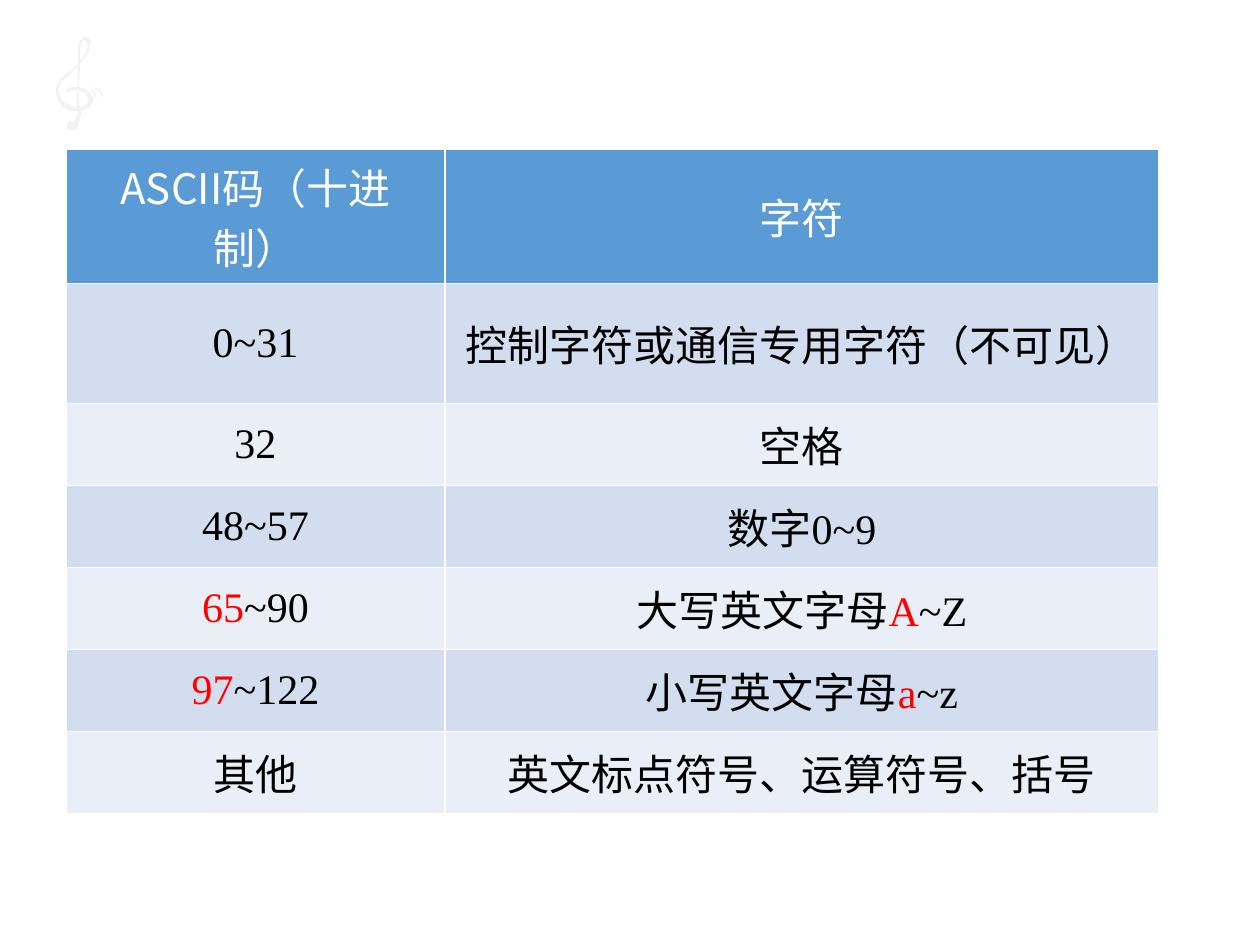
from lxml import etree
from pptx import Presentation
from pptx.dml.color import RGBColor
from pptx.enum.text import MSO_ANCHOR, PP_ALIGN
from pptx.oxml.ns import qn
from pptx.util import Emu, Pt

PX = 914400 // 126
CENTER = PP_ALIGN.CENTER
MIDDLE = MSO_ANCHOR.MIDDLE
SANS, SERIF = "Noto Sans CJK SC", "Times New Roman"
WHITE, BLACK, RED = "FFFFFF", "000000", "FF0000"
HEADER_FILL, BAND_FILLS = "5B9BD5", ("D2DEEF", "EAEFF7")
CLEF_FILL = "F2F2F2"

COLUMN_WIDTHS = (379, 714)
ROW_HEIGHTS = (120, 120) + (82,) * 5

# Each cell is a list of runs: text, font, colour.
ROWS = [
    ([("ASCII码（十进制）", SANS, WHITE)], [("字符", SANS, WHITE)]),
    ([("0~31", SERIF, BLACK)], [("控制字符或通信专用字符（不可见）", SANS, BLACK)]),
    ([("32", SERIF, BLACK)], [("空格", SANS, BLACK)]),
    ([("48~57", SERIF, BLACK)], [("数字", SANS, BLACK), ("0~9", SERIF, BLACK)]),
    ([("65", SERIF, RED), ("~90", SERIF, BLACK)],
     [("大写英文字母", SANS, BLACK), ("A", SERIF, RED), ("~Z", SERIF, BLACK)]),
    ([("97", SERIF, RED), ("~122", SERIF, BLACK)],
     [("小写英文字母", SANS, BLACK), ("a", SERIF, RED), ("~z", SERIF, BLACK)]),
    ([("其他", SANS, BLACK)], [("英文标点符号、运算符号、括号", SANS, BLACK)]),
]

# The clef body is an outline followed by its three holes.
CLEF_BODY = [
    [(91, 40), (89, 38), (84, 37), (80, 41), (78, 48), (78, 64), (64, 76), (60, 80),
     (56, 89), (57, 97), (61, 105), (68, 110), (74, 111), (78, 111), (78, 113),
     (76, 119), (72, 123), (71, 121), (69, 121), (67, 124), (67, 127), (68, 129),
     (72, 130), (76, 129), (79, 125), (81, 113), (81, 111), (91, 106), (94, 99),
     (92, 95), (87, 90), (79, 87), (79, 81), (80, 69), (80, 64), (87, 55), (90, 49),
     (90, 46)],
    [(82, 107), (80, 107), (79, 102), (78, 90), (85, 93), (88, 98), (88, 103)],
    [(78, 80), (78, 87), (71, 87), (65, 91), (67, 92), (71, 90), (78, 90), (77, 96),
     (77, 108), (73, 107), (62, 101), (59, 95), (58, 89), (61, 82), (65, 78),
     (67, 77), (78, 66)],
    [(87, 50), (86, 52), (82, 59), (80, 61), (80, 49), (82, 41), (85, 40), (88, 44)],
]
CLEF_TICKS = [
    [(96, 98), (97, 98), (95, 93), (92, 89), (91, 90), (94, 94)],
    [(95, 87), (95, 88), (99, 91), (102, 96), (103, 96), (101, 90)],
]


def px(length):
    return Emu(length * PX)


def color(hex_string):
    return RGBColor.from_string(hex_string)


def add_outline(slide, contours, fill):
    """Draw closed contours as one shape; inner contours become holes."""
    first, *holes = contours
    builder = slide.shapes.build_freeform(*first[0], scale=PX)
    builder.add_line_segments(first[1:], close=True)
    for hole in holes:
        builder.move_to(*hole[0])
        builder.add_line_segments(hole[1:], close=True)
    shape = builder.convert_to_shape()
    shape.shadow.inherit = False
    shape.fill.solid()
    shape.fill.fore_color.rgb = color(fill)
    shape.line.fill.background()


def add_run(paragraph, text, font_name, font_color):
    run = paragraph.add_run()
    run.text = text
    font = run.font
    font.size = Pt(24)
    font.bold = False
    font.color.rgb = color(font_color)
    font.name = font_name
    east_asian = etree.SubElement(run._r.get_or_add_rPr(), qn("a:ea"))
    east_asian.set("typeface", font_name)


def fill_cell(cell, runs, fill):
    cell.fill.solid()
    cell.fill.fore_color.rgb = color(fill)
    cell.vertical_anchor = MIDDLE
    paragraph = cell.text_frame.paragraphs[0]
    paragraph.alignment = CENTER
    for run in runs:
        add_run(paragraph, *run)


def add_ascii_table(slide):
    table = slide.shapes.add_table(
        len(ROWS), len(COLUMN_WIDTHS), px(66), px(149),
        px(sum(COLUMN_WIDTHS)), px(sum(ROW_HEIGHTS))).table
    for column, width in zip(table.columns, COLUMN_WIDTHS):
        column.width = px(width)
    for index, (row, height, cells) in enumerate(zip(table.rows, ROW_HEIGHTS, ROWS)):
        row.height = px(height)
        fill = BAND_FILLS[(index - 1) % 2] if index else HEADER_FILL
        for cell, runs in zip(row.cells, cells):
            fill_cell(cell, runs, fill)


def main():
    presentation = Presentation()
    presentation.slide_width = px(1260)
    presentation.slide_height = px(945)
    slide = presentation.slides.add_slide(presentation.slide_layouts[6])
    for contours in [CLEF_BODY] + [[tick] for tick in CLEF_TICKS]:
        add_outline(slide, contours, CLEF_FILL)
    add_ascii_table(slide)
    presentation.save("out.pptx")


if __name__ == "__main__":
    main()
